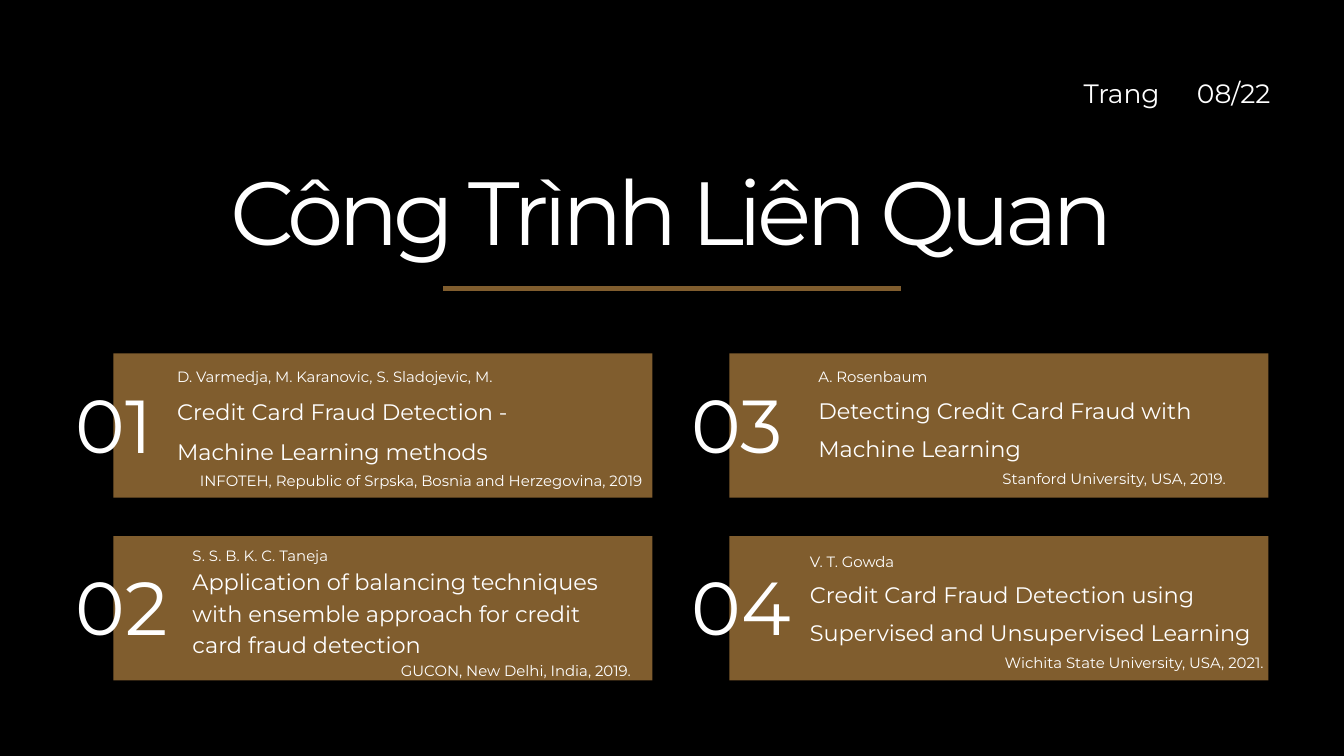
from dataclasses import dataclass

from lxml.etree import SubElement
from pptx import Presentation
from pptx.dml.color import RGBColor
from pptx.enum.shapes import MSO_CONNECTOR, MSO_SHAPE
from pptx.enum.text import PP_ALIGN
from pptx.oxml.ns import qn
from pptx.util import Pt

PX = 9525


@dataclass(frozen=True)
class Theme:
    background: RGBColor = RGBColor(0, 0, 0)
    accent: RGBColor = RGBColor(0x80, 0x5D, 0x2E)
    text: RGBColor = RGBColor(255, 255, 255)
    font: str = "Montserrat"
    title: float = 96
    number: float = 80.3
    page: float = 28.4
    heading: float = 24
    detail: float = 16


THEME = Theme()


def px(*values):
    return [v * PX for v in values]


def add_text(s, box, lines):
    tf = s.shapes.add_textbox(*px(*box)).text_frame
    frame_format = {"word_wrap": True, "margin_left": 0, "margin_top": 0,
                    "margin_right": 0, "margin_bottom": 0}
    for name, value in frame_format.items():
        setattr(tf, name, value)
    for i, (text, size, spacing, align) in enumerate(lines):
        p = tf.paragraphs[0] if i == 0 else tf.add_paragraph()
        p.alignment = align
        p.line_spacing = Pt(spacing)
        r = p.add_run()
        r.text = text
        for name, value in {"name": THEME.font, "size": Pt(size)}.items():
            setattr(r.font, name, value)
        r.font.color.rgb = THEME.text
    return tf


def add_page_number(s, box):
    x, y, w, h = box
    add_text(s, (x, y, 150, h), [("Trang", THEME.page, 39.8, PP_ALIGN.LEFT)])
    add_text(s, (x + w - 180, y, 180, h), [("08/22", THEME.page, 39.8, PP_ALIGN.RIGHT)])


def add_title(s, box):
    x, y, w, h = box
    tf = add_text(s, (x, y, w, 118),
                  [("Công Trình Liên Quan", THEME.title, 80.6, PP_ALIGN.CENTER)])
    tf.paragraphs[0].runs[0]._r.get_or_add_rPr().set("spc", "-560")
    rule_x, rule_y, rule_w = x + (w - 654) // 2, y + h, 654
    rule = s.shapes.add_connector(MSO_CONNECTOR.STRAIGHT,
                                  *px(rule_x, rule_y, rule_x + rule_w, rule_y))
    rule.line.color.rgb = THEME.accent
    rule.line.width = Pt(6)
    SubElement(rule._element.spPr, qn("a:effectLst"))


def add_card(s, box, number, inset, authors, headings, venue, small, large):
    x, y, w, h = box
    sp = s.shapes.add_shape(MSO_SHAPE.RECTANGLE, *px(*box))
    sp.shadow.inherit = False
    sp.fill.solid()
    sp.fill.fore_color.rgb = THEME.accent
    sp.line.fill.background()
    dx, dy, text_w = inset
    lines = [(authors, THEME.detail, small, PP_ALIGN.LEFT)]
    lines += [(text, THEME.heading, large, PP_ALIGN.LEFT) for text in headings]
    lines.append((venue, THEME.detail, small, PP_ALIGN.RIGHT))
    add_text(s, (x + dx, y + dy, text_w, h - 2 * dy), lines)
    add_text(s, (x - 54, y + 14, 207, 142),
             [(number, THEME.number, 112.4, PP_ALIGN.LEFT)])


def add_cards(s, box):
    x, y, w, h = box
    card_w, card_h = 770, 206
    works = [
        ((91, 9, 665), "D. Varmedja, M. Karanovic, S. Sladojevic, M.",
         ["Credit Card Fraud Detection -", "Machine Learning methods"],
         "INFOTEH, Republic of Srpska, Bosnia and Herzegovina, 2019", 27.2, 42.5),
        ((113, 10, 632), "S. S. B. K. C. Taneja",
         ["Application of balancing techniques with ensemble approach for credit "
          "card fraud detection"],
         "GUCON, New Delhi, India, 2019. ", 22.4, 33.6),
        ((127, 10, 588), "A. Rosenbaum",
         ["Detecting Credit Card Fraud with Machine Learning"],
         "Stanford University, USA, 2019. ", 27.2, 40.8),
        ((115, 12, 654), "V. T. Gowda",
         ["Credit Card Fraud Detection using Supervised and Unsupervised Learning"],
         "Wichita State University, USA, 2021. ", 27.2, 40.8),
    ]
    for i, work in enumerate(works):
        col, row = divmod(i, 2)
        card = (x + col * (w - card_w), y + row * (h - card_h), card_w, card_h)
        add_card(s, card, f"{i + 1:02}", *work)


def main():
    prs = Presentation()
    prs.slide_width, prs.slide_height = px(1920, 1080)
    s = prs.slides.add_slide(prs.slide_layouts[6])
    s.background.fill.solid()
    s.background.fill.fore_color.rgb = THEME.background
    add_page_number(s, (1548, 103, 267, 51))
    add_title(s, (239, 269, 1442, 143))
    add_cards(s, (162, 505, 1650, 467))
    prs.save("out.pptx")


if __name__ == "__main__":
    main()
